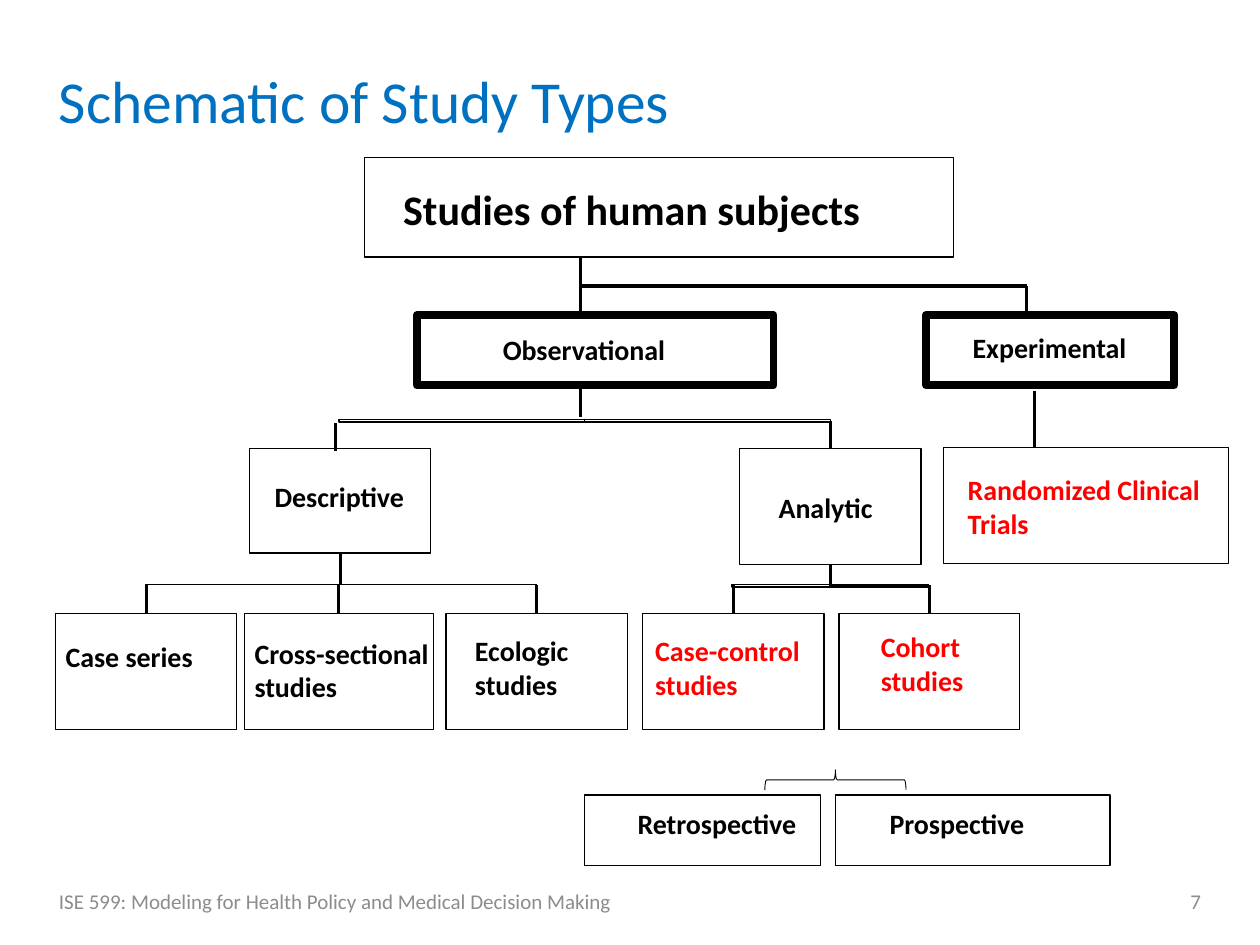
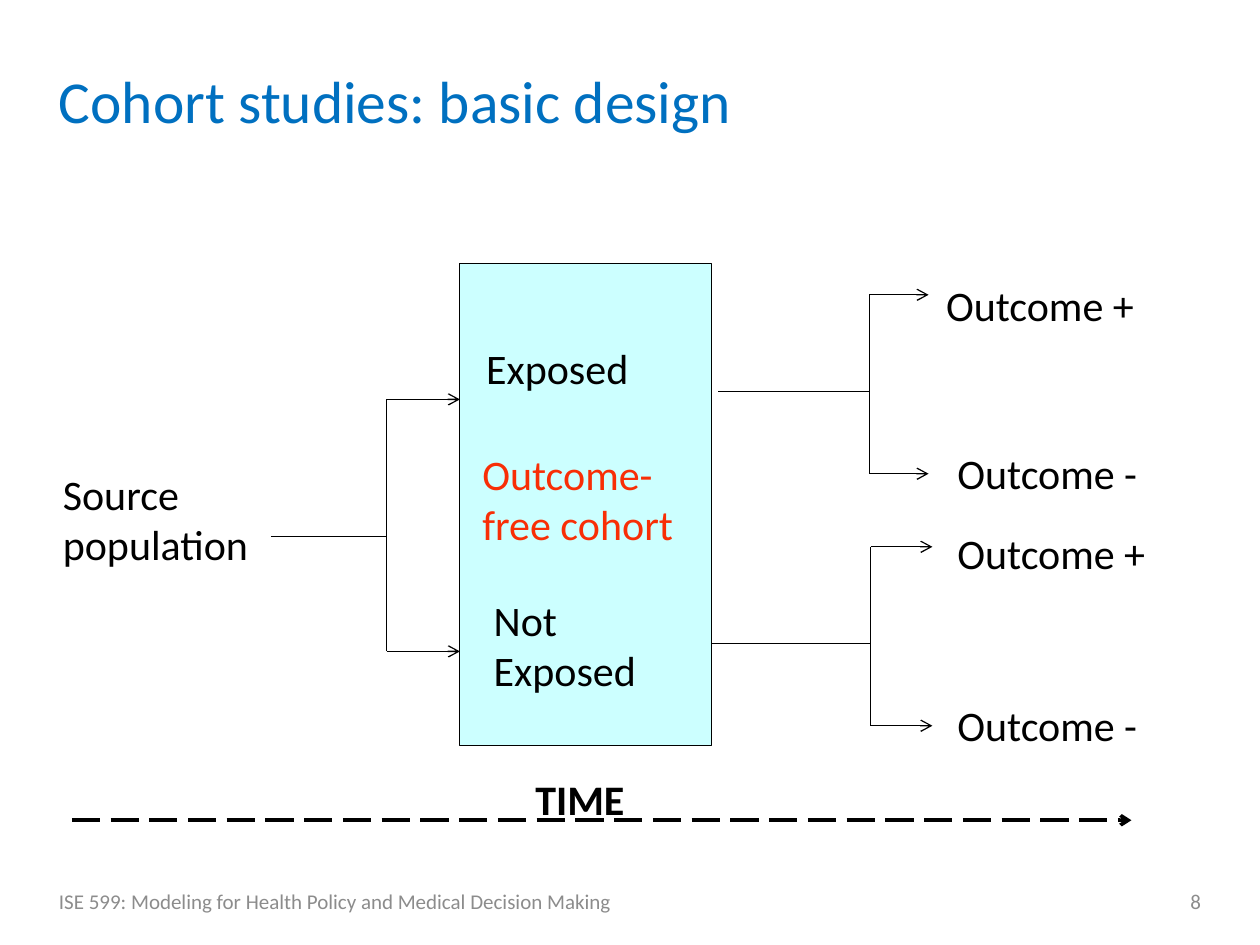
from pptx import Presentation
from pptx.dml.color import RGBColor
from pptx.enum.dml import MSO_LINE
from pptx.enum.shapes import MSO_CONNECTOR, MSO_SHAPE
from pptx.enum.text import MSO_ANCHOR, MSO_AUTO_SIZE, PP_ALIGN
from pptx.oxml.ns import qn
from pptx.util import Pt
from lxml.etree import SubElement

PX = 9144
FONT = "Calibri"
COLOURS = {"title": "0070C0", "footer": "8C8C8C", "ink": "000000",
           "key": "FF0000", "cohort": "F82E06", "panel": "CCFFFF"}
COURSE = "ISE 599: Modeling for Health Policy and Medical Decision Making"
TOP, BOTTOM = 0, 2


def rgb(name):
    return RGBColor.from_string(COLOURS[name])


class Sketch:
    """Holds the deck style and the current page, and draws each kind of element."""

    def __init__(self, deck):
        self.deck = deck
        self.page = None

    def start(self, title, number):
        self.page = self.deck.slides.add_slide(self.deck.slide_layouts[6])
        middle = MSO_ANCHOR.MIDDLE
        heading = self.text((37, 40, 926, 85), [title], 34, "title", anchor=middle)
        heading.text_frame.paragraphs[0].line_spacing = 0.9
        self.text((37, 695, 567, 40), [COURSE], 12, "footer", anchor=middle)
        self.text((721, 695, 242, 40), [str(number)], 12, "footer",
                  anchor=middle, align=PP_ALIGN.RIGHT)

    def text(self, area, lines, size, colour="ink", bold=False, insets=(10, 5, 10, 5),
             wrap=True, fit=False, anchor=MSO_ANCHOR.TOP, align=PP_ALIGN.LEFT):
        box = self.page.shapes.add_textbox(*(n * PX for n in area))
        frame = box.text_frame
        frame.word_wrap = wrap
        frame.auto_size = MSO_AUTO_SIZE.SHAPE_TO_FIT_TEXT if fit else MSO_AUTO_SIZE.NONE
        frame.vertical_anchor = anchor
        (frame.margin_left, frame.margin_top,
         frame.margin_right, frame.margin_bottom) = (n * PX for n in insets)
        for index, line in enumerate(lines):
            para = frame.add_paragraph() if index else frame.paragraphs[0]
            para.alignment = align
            span = para.add_run()
            span.text = line
            span.font.name = FONT
            span.font.size = Pt(size)
            span.font.bold = bold
            span.font.color.rgb = rgb(colour)
        return box

    def label(self, area, *lines, colour="ink", size=16, wrap=False):
        return self.text(area, lines, size, colour, bold=True,
                         insets=(0, 0, 0, 0), wrap=wrap, fit=True)

    def caption(self, area, words, colour="ink", bold=False):
        return self.text(area, [words], 24, colour, bold, insets=(10, 5, 10, 0), fit=True)

    def shape(self, area, kind=MSO_SHAPE.RECTANGLE, weight=0.75, fill=None):
        shape = self.page.shapes.add_shape(kind, *(n * PX for n in area))
        shape.shadow.inherit = False
        if fill:
            shape.fill.solid()
            shape.fill.fore_color.rgb = rgb(fill)
        else:
            shape.fill.background()
        shape.line.color.rgb = rgb("ink")
        shape.line.width = Pt(weight)
        return shape

    def line(self, start, end, weight=0.75, arrow=False, dash=None):
        line = self.page.shapes.add_connector(
            MSO_CONNECTOR.STRAIGHT, *(round(n * PX) for n in (*start, *end)))
        line.line.color.rgb = rgb("ink")
        line.line.width = Pt(weight)
        if dash:
            line.line.dash_style = dash
        properties = line._element.spPr
        if arrow:
            SubElement(properties.find(qn("a:ln")), qn("a:tailEnd"), type="arrow")
        SubElement(properties, qn("a:effectLst"))
        return line

    def stem(self, box, side, level):
        """Draw a vertical line from the middle of a box side to a level."""
        x = (box.left + box.width / 2) / PX
        y = (box.top + (box.height if side == BOTTOM else 0)) / PX
        self.line((x, y), (x, level), 1.75).begin_connect(box, side)

    def fork(self, left, middle, spine, tip, top, bottom):
        """Draw a line that splits into two arrows."""
        self.line((left, middle), (spine, middle))
        self.line((spine, bottom), (spine, top))
        for y in (top, bottom):
            self.line((spine, y), (tip, y), arrow=True)


def study_types(sketch):
    sketch.start("Schematic of Study Types", 7)
    sketch.shape((289, 125, 468, 79))
    sketch.label((320, 146, 367, 40), "Studies of human subjects", size=24)
    sketch.shape((331, 250, 283, 56), weight=4.5)
    sketch.label((399, 264, 131, 27), "Observational")
    sketch.shape((735, 250, 197, 56), weight=4.5)
    sketch.label((772, 262, 123, 27), "Experimental")
    sketch.shape((749, 355, 226, 92))
    sketch.label((768, 375, 192, 54), "Randomized Clinical", "Trials", colour="key")
    descriptive = sketch.shape((198, 356, 144, 83))
    sketch.label((218, 381, 104, 27), "Descriptive")
    analytic = sketch.shape((587, 356, 144, 92))
    sketch.label((618, 389, 76, 27), "Analytic")

    leaves = [
        ((44, 144), (52, 508, 102, 27), ["Case series"], "ink"),
        ((194, 150), (202, 505, 145, 54), ["Cross-sectional", "studies"], "ink"),
        ((354, 144), (377, 503, 80, 54), ["Ecologic", "studies"], "ink"),
        ((510, 144), (520, 503, 121, 54), ["Case-control", "studies"], "key"),
        ((666, 143), (699, 500, 69, 54), ["Cohort", "studies"], "key"),
    ]
    for (left, width), area, lines, colour in leaves:
        leaf = sketch.shape((left, 487, width, 92))
        sketch.label(area, *lines, colour=colour)
        sketch.stem(leaf, TOP, 464)
    sketch.stem(descriptive, BOTTOM, 464)
    sketch.stem(analytic, BOTTOM, 465)
    sketch.stem(analytic, TOP, 334)

    for start, end, weight in [
        ((461, 204), (461, 249), 1.75), ((461, 227), (815, 227), 1.75),
        ((815, 227), (815, 249), 1.75), ((461, 308), (461, 331), 1.75),
        ((821, 310), (821, 355), 1.75), ((266, 336), (266, 358), 1.75),
        ((115, 464), (426, 464), 0.38), ((659, 465), (737, 465), 2),
    ]:
        sketch.line(start, end, weight)
    for bar in [(269, 333, 195, 2), (464, 333, 195, 2), (581, 464, 78, 2)]:
        sketch.shape(bar)

    for left, width, text_left, text_width, word in [
        (464, 187, 506, 128, "Retrospective"), (663, 218, 706, 108, "Prospective"),
    ]:
        sketch.shape((left, 631, width, 56))
        sketch.label((text_left, 640, text_width, 27), word)
    sketch.shape((655, 563, 16, 112), MSO_SHAPE.LEFT_BRACE, 0.5).rotation = 90


def cohort_design(sketch):
    sketch.start("Cohort studies: basic design", 8)
    sketch.caption((40, 367, 192, 86), "Source population")
    sketch.shape((365, 209, 200, 383), fill="panel")
    sketch.caption((376, 267, 150, 45), "Exposed")
    sketch.caption((382, 467, 167, 86), "Not Exposed")
    sketch.caption((373, 351, 200, 86), "Outcome-free cohort", "cohort")
    sketch.fork(215, 426, 307, 365, 317, 517)
    sketch.fork(570, 311, 690, 737, 234, 376)
    sketch.fork(565, 511, 691, 740, 434, 576)
    for left, top, sign in [(741, 217, "+"), (750, 350, "-"), (750, 414, "+"), (750, 550, "-")]:
        sketch.caption((left, top, 192, 45), f"Outcome {sign}")
    sketch.line((57, 651), (898, 651), 2, arrow=True, dash=MSO_LINE.LONG_DASH)
    sketch.caption((415, 609, 208, 45), "TIME", bold=True)


def main():
    deck = Presentation()
    deck.slide_width, deck.slide_height = 1000 * PX, 750 * PX
    sketch = Sketch(deck)
    study_types(sketch)
    cohort_design(sketch)
    deck.save("out.pptx")


if __name__ == "__main__":
    main()
